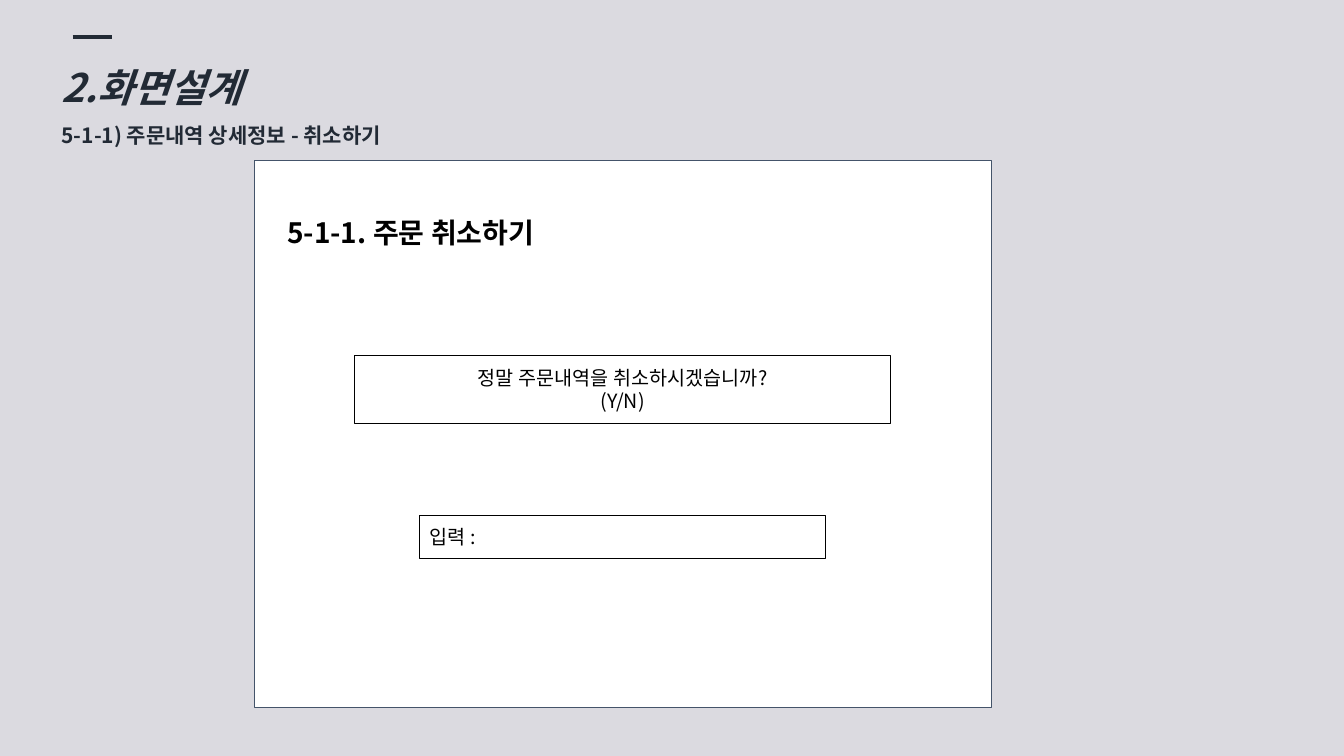
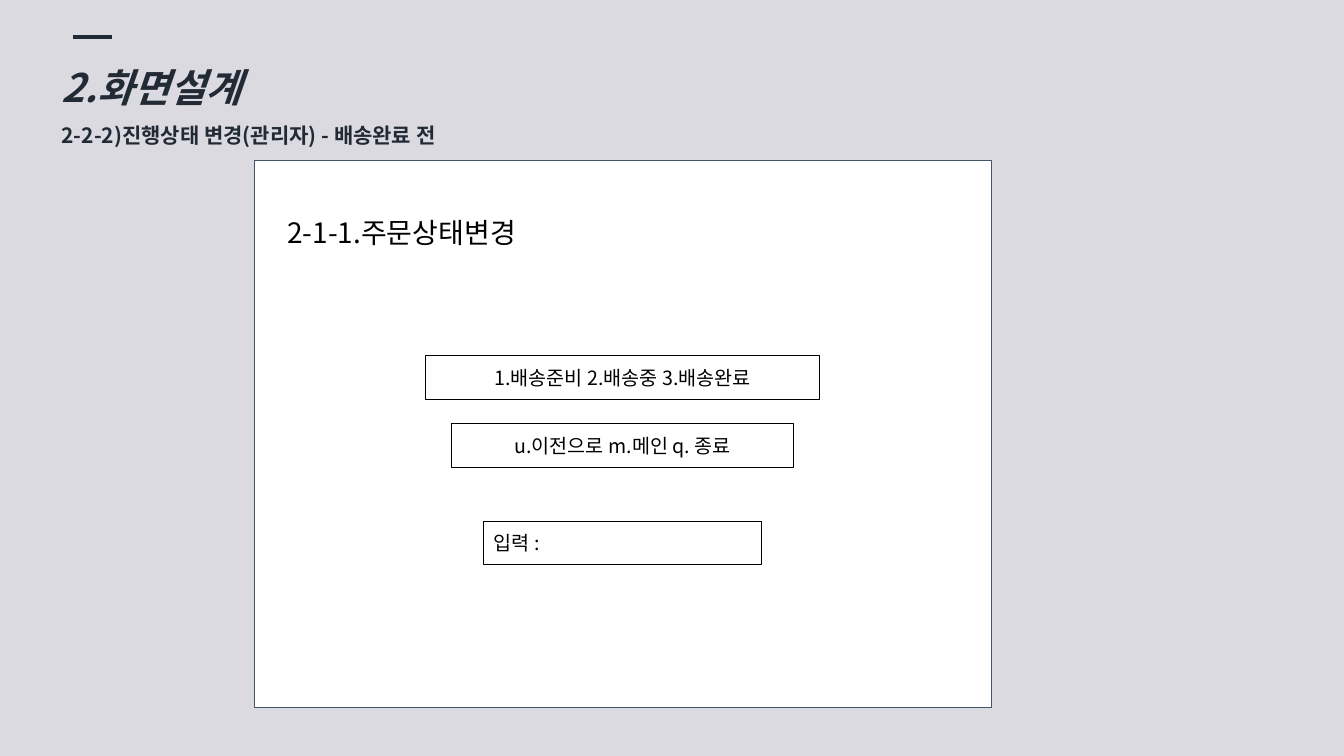
from dataclasses import dataclass

from lxml.etree import SubElement
from pptx import Presentation
from pptx.dml.color import RGBColor
from pptx.enum.shapes import MSO_CONNECTOR as Connector, MSO_SHAPE as Shape
from pptx.enum.text import MSO_ANCHOR as Anchor, MSO_AUTO_SIZE as AutoSize, PP_ALIGN as Align
from pptx.oxml.ns import qn
from pptx.util import Inches, Pt


@dataclass(frozen=True)
class Theme:
    font: str = "Noto Sans CJK KR"
    background: RGBColor = RGBColor.from_string("DBDAE0")
    accent: RGBColor = RGBColor.from_string("222A35")
    card_fill: RGBColor = RGBColor.from_string("FFFFFF")
    card_line: RGBColor = RGBColor.from_string("44546A")
    ink: RGBColor = RGBColor.from_string("000000")
    title_size: int = 28
    subtitle_size: int = 15
    heading_size: int = 20
    box_size: int = 14
    thin: float = 0.75
    thick: float = 3


THEME = Theme()
TITLE = "2.화면설계"
CARD_LEFT, CARD_TOP, CARD_WIDTH, CARD_HEIGHT = 2.52, 1.59, 7.31, 5.43
CARD_CENTER = CARD_LEFT + CARD_WIDTH / 2
BOX_PADDING, BOX_LINE = 0.1, 0.235

# Each box: top, width, alignment, lines of text
SCREENS = [
    {
        "subtitle": "5-1-1) 주문내역 상세정보 - 취소하기",
        "heading": "5-1-1. 주문 취소하기",
        "heading_bold": True,
        "boxes": [
            (3.53, 5.32, Align.CENTER, ["정말 주문내역을 취소하시겠습니까?", "(Y/N)"]),
            (5.11, 4.02, Align.LEFT, ["입력 :"]),
        ],
    },
    {
        "subtitle": "2-2-2)진행상태 변경(관리자) - 배송완료 전",
        "heading": "2-1-1.주문상태변경",
        "heading_bold": False,
        "boxes": [
            (3.53, 3.91, Align.CENTER, ["1.배송준비 2.배송중 3.배송완료"]),
            (4.2, 3.39, Align.CENTER, ["u.이전으로 m.메인 q. 종료"]),
            (5.17, 2.75, Align.LEFT, ["입력 :"]),
        ],
    },
]


def inches(*lengths):
    return [Inches(length) for length in lengths]


def format_paragraph(paragraph, size, color, bold=False, italic=False, align=Align.LEFT):
    paragraph.alignment = align
    for run in paragraph.runs:
        font = run.font
        font.name, font.size, font.bold, font.italic = THEME.font, Pt(size), bold, italic
        font.color.rgb = color
        # The East Asian typeface follows the Latin one
        SubElement(font._element, qn("a:ea"), typeface=THEME.font)


def set_margins(text_frame, horizontal, vertical):
    text_frame.margin_left = text_frame.margin_right = Inches(horizontal)
    text_frame.margin_top = text_frame.margin_bottom = Inches(vertical)
    text_frame.vertical_anchor = Anchor.TOP
    text_frame.word_wrap = True


def add_header(slide, subtitle):
    title = slide.shapes.title
    title.left, title.top, title.width, title.height = inches(0.51, 0.34, 4.81, 1.14)
    text_frame = title.text_frame
    text_frame.text = f"{TITLE}\n{subtitle}"
    text_frame.auto_size = AutoSize.NONE
    set_margins(text_frame, 0.1, 0.05)
    first, second = text_frame.paragraphs
    format_paragraph(first, THEME.title_size, THEME.accent, bold=True, italic=True)
    format_paragraph(second, THEME.subtitle_size, THEME.accent, bold=True)
    for paragraph in (first, second):
        paragraph.line_spacing = 1.5
        paragraph.space_before = Pt(0)

    dash = slide.shapes.add_connector(Connector.STRAIGHT, *inches(0.72, 0.37, 1.11, 0.37))
    dash.line.color.rgb = THEME.accent
    dash.line.width = Pt(THEME.thick)
    SubElement(dash._element.spPr, qn("a:effectLst"))


def add_rectangle(shapes, left, top, width, height, line_color):
    rectangle = shapes.add_shape(Shape.RECTANGLE, *inches(left, top, width, height))
    rectangle.shadow.inherit = False
    rectangle.fill.background()
    rectangle.line.color.rgb = line_color
    rectangle.line.width = Pt(THEME.thin)
    return rectangle


def add_card(slide, heading, bold):
    group = slide.shapes.add_group_shape()
    card = add_rectangle(group.shapes, CARD_LEFT, CARD_TOP, CARD_WIDTH, CARD_HEIGHT,
                         THEME.card_line)
    card.fill.solid()
    card.fill.fore_color.rgb = THEME.card_fill
    label = group.shapes.add_textbox(*inches(2.75, 2.04, 4.5, 0.54))
    label.text_frame.text = heading
    set_margins(label.text_frame, BOX_PADDING, BOX_PADDING)
    format_paragraph(label.text_frame.paragraphs[0], THEME.heading_size, THEME.ink, bold)


def add_box(slide, top, width, align, lines):
    """Draw an outlined text box centred on the card, as tall as its lines need."""
    height = 2 * BOX_PADDING + len(lines) * BOX_LINE
    box = add_rectangle(slide.shapes, CARD_CENTER - width / 2, top, width, height, THEME.ink)
    box.text_frame.text = "\n".join(lines)
    set_margins(box.text_frame, BOX_PADDING, BOX_PADDING)
    for paragraph in box.text_frame.paragraphs:
        format_paragraph(paragraph, THEME.box_size, THEME.ink, align=align)


def main():
    presentation = Presentation()
    presentation.slide_width, presentation.slide_height = inches(13.33, 7.5)
    master_fill = presentation.slide_master.background.fill
    master_fill.solid()
    master_fill.fore_color.rgb = THEME.background
    title_only = presentation.slide_layouts.get_by_name("Title Only")
    for screen in SCREENS:
        slide = presentation.slides.add_slide(title_only)
        add_header(slide, screen["subtitle"])
        add_card(slide, screen["heading"], screen["heading_bold"])
        for box in screen["boxes"]:
            add_box(slide, *box)
    presentation.save("out.pptx")


if __name__ == "__main__":
    main()
